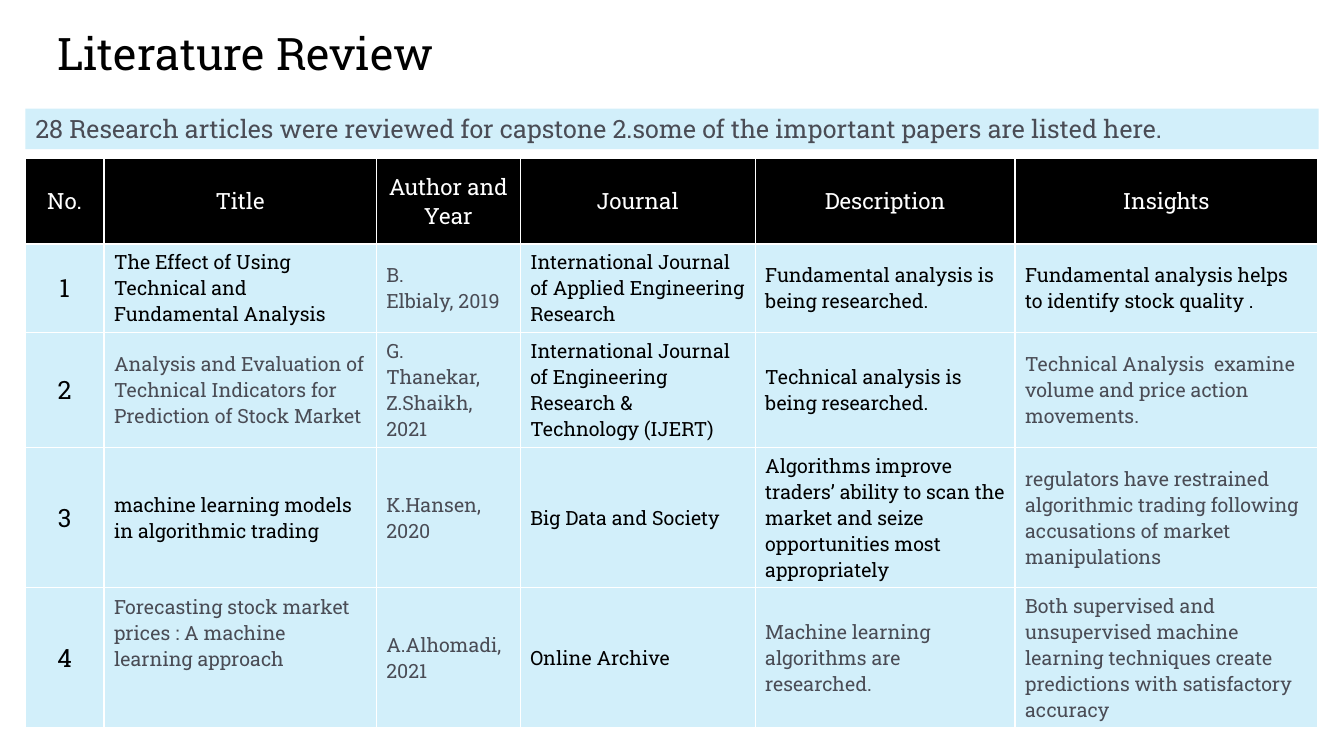
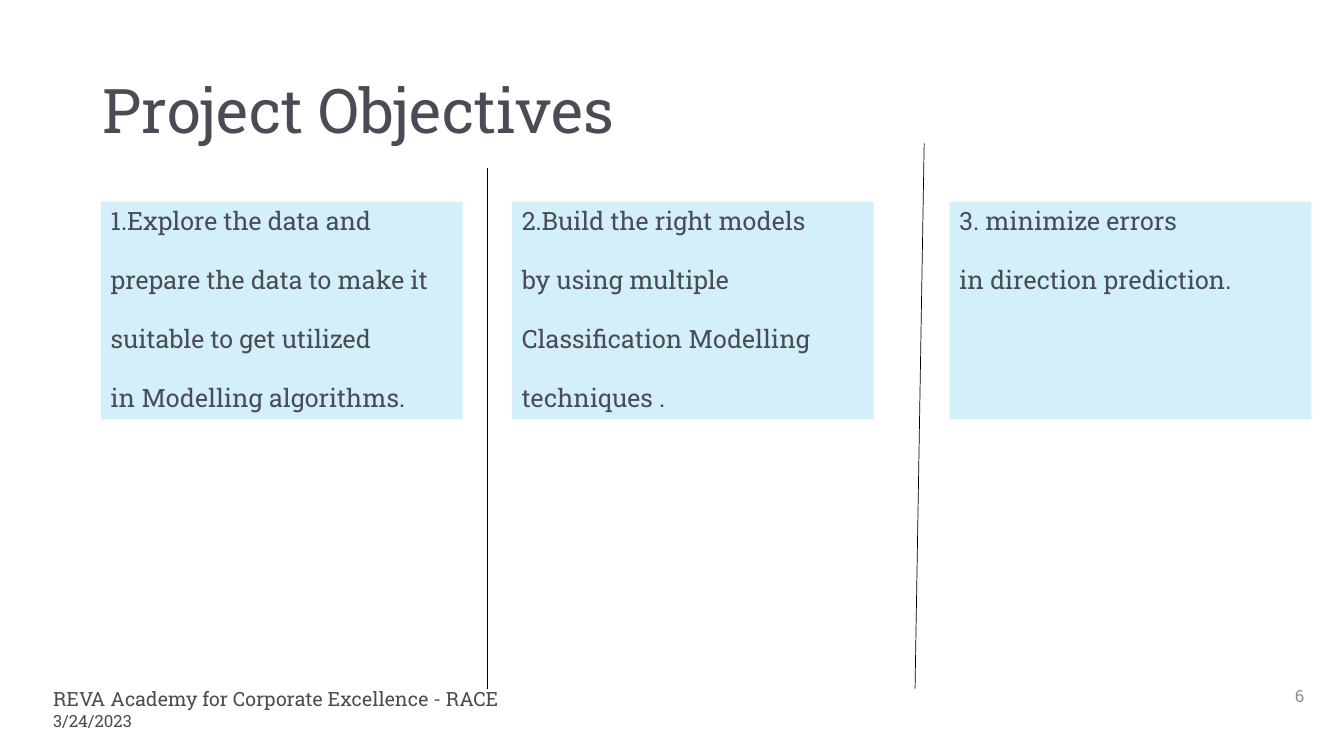
from lxml import etree
from pptx import Presentation
from pptx import util as u
from pptx.dml.color import RGBColor
from pptx.enum import shapes, text
from pptx.oxml.ns import qn

COLORS = {
    "black": "000000",
    "white": "FFFFFF",
    "ink": "4A4C55",
    "grey": "8C8C8C",
    "sky": "D2EFFA",
}
FONT = "Roboto Slab"
LEFT, CENTER, RIGHT = text.PP_ALIGN.LEFT, text.PP_ALIGN.CENTER, text.PP_ALIGN.RIGHT
MIDDLE, TOP = text.MSO_ANCHOR.MIDDLE, text.MSO_ANCHOR.TOP


def cm(*values):
    return [u.Cm(v) for v in values]


class Deck:
    """Holds the shared style and the current slide."""

    def __init__(self):
        self.prs = Presentation()
        self.prs.slide_width, self.prs.slide_height = cm(33.87, 19.05)
        self.s = None

    def color(self, name):
        return RGBColor.from_string(COLORS[name])

    def fill(self, target, name):
        target.fill.solid()
        target.fill.fore_color.rgb = self.color(name)

    def style(self, p, size, color, align=LEFT, spacing=None):
        p.alignment = align
        p.line_spacing = spacing
        for r in p.runs:
            r.font.name = FONT
            r.font.size = u.Pt(size)
            r.font.bold = False
            r.font.color.rgb = self.color(color)

    def frame(self, tf, anchor):
        tf.word_wrap = True
        tf.auto_size = text.MSO_AUTO_SIZE.NONE
        tf.vertical_anchor = anchor

    def slide(self, title, box, size, color):
        self.s = self.prs.slides.add_slide(self.prs.slide_layouts[5])
        sp = self.s.shapes.title
        sp.left, sp.top, sp.width, sp.height = cm(*box)
        sp.text_frame.text = title
        self.frame(sp.text_frame, MIDDLE)
        self.style(sp.text_frame.paragraphs[0], size, color, spacing=0.9)

    def label(self, lines, box, sizes, color, align=LEFT):
        sp = self.s.shapes.add_textbox(*cm(*box))
        tf = sp.text_frame
        tf.text = "\n".join(lines)
        self.frame(tf, MIDDLE)
        for p, size in zip(tf.paragraphs, sizes):
            self.style(p, size, color, align)

    def panel(self, lines, box):
        sp = self.s.shapes.add_shape(shapes.MSO_SHAPE.RECTANGLE, *cm(*box))
        sp.shadow.inherit = False
        self.fill(sp, "sky")
        sp.line.fill.background()
        tf = sp.text_frame
        tf.text = "\n".join(lines)
        self.frame(tf, TOP)
        for i, p in enumerate(tf.paragraphs):
            self.style(p, 18, "ink", spacing=u.Pt(21))
            if i:
                p.space_before = u.Pt(21)

    def line(self, x1, y1, x2, y2):
        c = self.s.shapes.add_connector(shapes.MSO_CONNECTOR.STRAIGHT, *cm(x1, y1, x2, y2))
        c.line.width = u.Pt(0.5)
        c.line.color.rgb = self.color("black")
        etree.SubElement(c._element.spPr, qn("a:effectLst"))

    def table(self, rows, left, top, widths, heights, muted):
        """Black header, centred first column; muted cells use the ink colour."""
        box = cm(left, top, sum(widths), sum(heights))
        tbl = self.s.shapes.add_table(len(rows), len(widths), *box).table
        tbl.horz_banding = False
        for col, width in zip(tbl.columns, widths):
            col.width = u.Cm(width)
        for i, (row, height) in enumerate(zip(rows, heights)):
            tbl.rows[i].height = u.Cm(height)
            for j, value in enumerate(row):
                cell = tbl.cell(i, j)
                cell.text = value
                cell.vertical_anchor = MIDDLE
                self.fill(cell, "sky" if i else "black")
                size = 16 if i == 0 else 18 if j == 0 else 14
                color = "white" if i == 0 else "ink" if (i, j) in muted else "black"
                for p in cell.text_frame.paragraphs:
                    self.style(p, size, color, LEFT if i and j else CENTER)
        return tbl


PAPERS = [
    ["No.", "Title", "Author and Year", "Journal", "Description", "Insights"],
    ["1", "The Effect of Using Technical and Fundamental Analysis",
     "B.\nElbialy, 2019",
     "International Journal of Applied Engineering Research",
     "Fundamental analysis is being researched.",
     "Fundamental analysis helps to identify stock quality ."],
    ["2", "Analysis and Evaluation of Technical Indicators for Prediction of Stock Market",
     "G.\nThanekar, Z.Shaikh, 2021",
     "International Journal of Engineering Research & Technology (IJERT)",
     "Technical analysis is being researched.",
     "Technical Analysis  examine volume and price action movements."],
    ["3", "machine learning models in algorithmic trading",
     "K.Hansen, 2020",
     "Big Data and Society",
     "Algorithms improve traders’ ability to scan the market and seize "
     "opportunities most appropriately",
     "regulators have restrained algorithmic trading following accusations "
     "of market manipulations"],
    ["4", "Forecasting stock market prices : A machine learning approach",
     "A.Alhomadi, 2021",
     "Online Archive",
     "Machine learning algorithms are researched.",
     "Both supervised and unsupervised machine learning techniques create "
     "predictions with satisfactory accuracy"],
]
MUTED = {(1, 2), (2, 1), (2, 2), (2, 5), (3, 2), (3, 5), (4, 1), (4, 2), (4, 4), (4, 5)}

OBJECTIVES = [
    (2.54, ["1.Explore the data and", "prepare the data to make it",
            "suitable to get utilized", "in Modelling algorithms."]),
    (12.9, ["2.Build the right models", "by using multiple",
            "Classification Modelling", "techniques ."]),
    (23.93, ["3. minimize errors", "in direction prediction."]),
]


def main():
    deck = Deck()

    # Literature review
    deck.slide("Literature Review", (1.19, 0.61, 23.29, 1.6), 32, "black")
    tbl = deck.table(PAPERS, 0.64, 3.99, [1.98, 6.86, 3.63, 5.92, 6.55, 7.62],
                     [2.16, 2.21, 2.9, 3.53, 3.53], MUTED)
    tbl.cell(4, 1).margin_bottom = u.Cm(1.4)  # lifts the last title
    deck.panel(["28 Research articles were reviewed for capstone 2."
                "some of the important papers are listed here."],
               (0.64, 2.74, 32.59, 1.02))

    # Project objectives
    deck.slide("Project Objectives", (2.34, 1.02, 23.29, 3.68), 44, "ink")
    for left, lines in OBJECTIVES:
        deck.panel(lines, (left, 5.08, 9.12, 5.49))
    deck.line(12.27, 4.24, 12.27, 17.35)
    deck.line(23.29, 3.61, 23.06, 17.35)

    # Footer
    deck.label(["REVA Academy for Corporate Excellence - RACE", "3/24/2023"],
               (1.09, 17.35, 12.5, 1.02), [14, 12], "ink")
    deck.label(["6"], (31.47, 16.69, 1.65, 1.7), [12], "grey", RIGHT)

    deck.prs.save("out.pptx")


if __name__ == "__main__":
    main()
